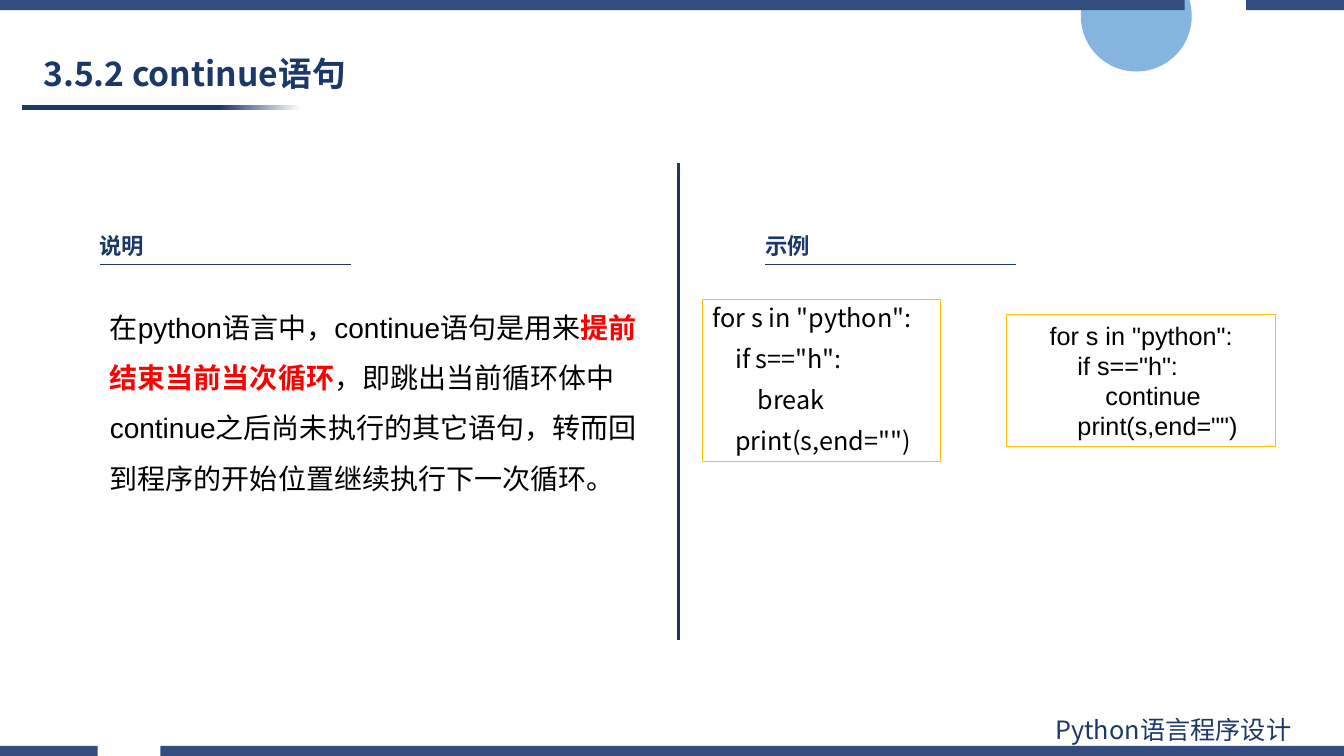
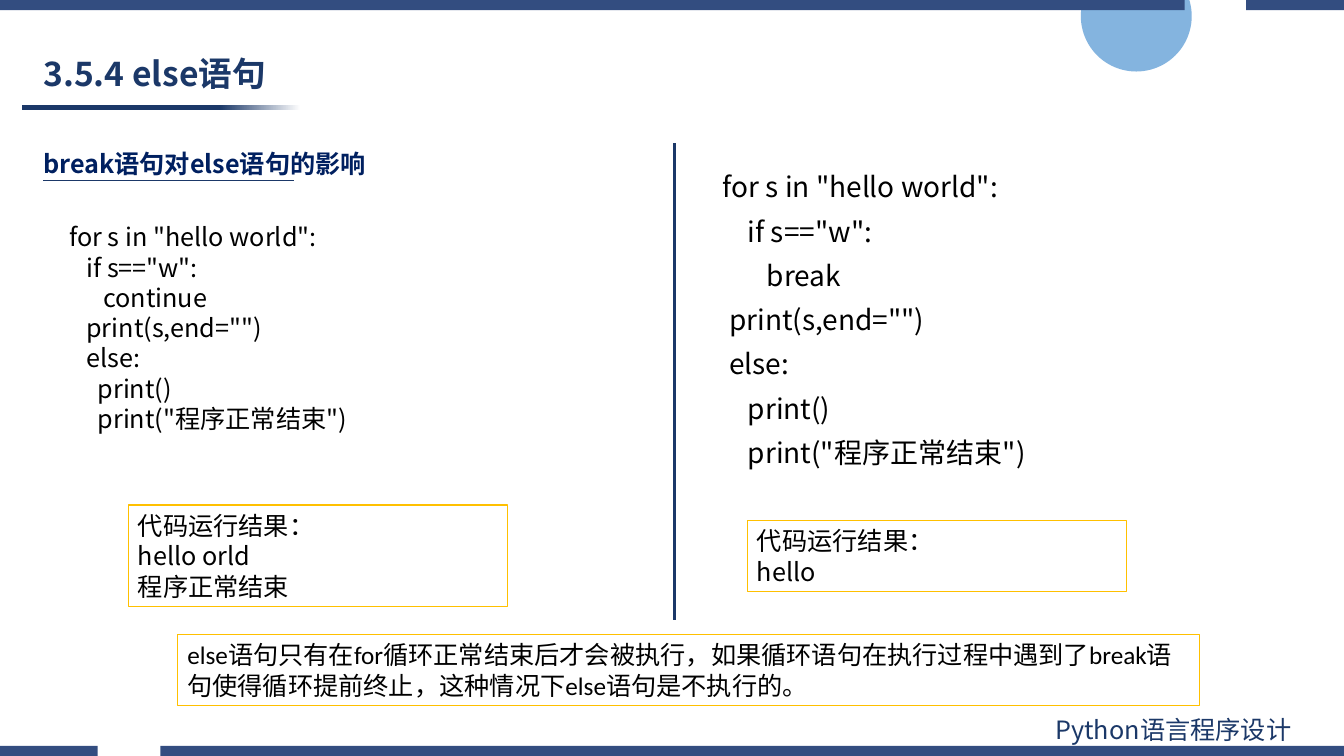
from lxml.etree import SubElement as Sub
from pptx import Presentation
from pptx.dml.color import RGBColor as RGB
from pptx.enum.shapes import MSO_CONNECTOR as LINE, MSO_SHAPE as SHAPE
from pptx.enum.text import MSO_ANCHOR as ANCHOR, PP_ALIGN as ALIGN
from pptx.oxml.ns import qn
from pptx.util import Inches, Pt

NAVY = RGB(0x1B, 0x38, 0x68)
BAND = RGB(0x33, 0x4D, 0x80)
SKY = RGB(0x5B, 0x9B, 0xD5)
GOLD = RGB(0xFF, 0xC0, 0x00)
DEEP = RGB(0x00, 0x20, 0x60)
RED = RGB(0xFF, 0x00, 0x00)
BLACK = RGB(0x00, 0x00, 0x00)
WHITE = RGB(0xFF, 0xFF, 0xFF)

NOTO, ARIAL, CALI = "Noto Sans CJK SC", "Arial", "Calibri"
WIDE, HIGH = 13.33, 7.5
LEAD = 1.2  # line height per point of text size


def inch(*nums):
    return [Inches(n) for n in nums]


# Text
def add_run(para, text, size, font=NOTO, color=BLACK, bold=False):
    run = para.add_run()
    run.text = text
    run.font.size, run.font.bold = Pt(size), bold
    run.font.name, run.font.color.rgb = font, color
    Sub(run.font._element, qn("a:ea")).set("typeface", NOTO)


def fill_text(frame, lines, size, ratio=1, gap=0, align=ALIGN.LEFT):
    """Each line is a list of (text, style) runs."""
    frame.word_wrap = True
    for i, runs in enumerate(lines):
        para = frame.add_paragraph() if i else frame.paragraphs[0]
        para.alignment = align
        para.line_spacing = Pt(round(size * LEAD * ratio, 1))
        para.space_before = Pt(gap if i else 0)
        for text, style in runs:
            add_run(para, text, size, **style)


def plain(text, **style):
    return [[(line, style)] for line in text.split("\n")]


def add_text(slide, box, lines, size, **form):
    frame = slide.shapes.add_textbox(*inch(*box)).text_frame
    fill_text(frame, lines, size, **form)


# Shapes
def add_line(slide, start, end, width):
    line = slide.shapes.add_connector(LINE.STRAIGHT, *inch(*start, *end))
    line.line.color.rgb, line.line.width = NAVY, Pt(width)
    Sub(line._element.spPr, qn("a:effectLst"))


def add_plain(slide, kind, box):
    shape = slide.shapes.add_shape(kind, *inch(*box))
    shape.shadow.inherit = False
    shape.line.fill.background()
    return shape


def add_frame(slide, box, lines, size=18, pad=0.1, **form):
    shape = add_plain(slide, SHAPE.RECTANGLE, box)
    shape.fill.background()
    shape.line.color.rgb, shape.line.width = GOLD, Pt(0.75)
    shape.text_frame.margin_left = Inches(pad)
    fill_text(shape.text_frame, lines, size, **form)


def add_band(slide, top, left, right):
    """Full-width strip with a gap from left to right."""
    low = top + 0.1
    build = slide.shapes.build_freeform(*inch(0, top), scale=1.0)
    for i, (x1, x2) in enumerate([(0, left), (right, WIDE)]):
        if i:
            build.move_to(*inch(x1, top))
        corners = [(x2, top), (x2, low), (x1, low)]
        build.add_line_segments([inch(*c) for c in corners], close=True)
    band = build.convert_to_shape()
    band.shadow.inherit = False
    band.fill.solid()
    band.fill.fore_color.rgb = BAND
    band.line.fill.background()


# Parts every slide shares
def add_base(deck, title):
    slide = deck.slides.add_slide(deck.slide_layouts[5])
    disc = add_plain(slide, SHAPE.OVAL, (10.72, -0.39, 1.1, 1.1))
    disc.fill.solid()
    disc.fill.fore_color.rgb = SKY
    tint = disc._element.spPr.find(qn("a:solidFill"))[0]
    Sub(tint, qn("a:alpha")).set("val", "75000")

    rule = add_plain(slide, SHAPE.RECTANGLE, (0.22, 1.04, 2.76, 0.05))
    rule.fill.gradient()
    rule.fill.gradient_angle = 0
    stops = [(0.71, NAVY), (1, WHITE)]
    for stop, (place, color) in zip(rule.fill.gradient_stops, stops):
        stop.position, stop.color.rgb = place, color

    add_band(slide, HIGH - 0.1, 0.97, 1.59)
    add_band(slide, 0, 11.75, 12.36)
    add_text(slide, (10.37, 7.04, 2.94, 0.4),
             plain("Python语言程序设计", color=NAVY), 18)

    head = slide.shapes.title
    head.left, head.top, head.width, head.height = inch(0.33, 0.44, 3.57, 0.56)
    head.text_frame.vertical_anchor = ANCHOR.MIDDLE
    fill_text(head.text_frame, plain(title, color=NAVY, bold=True), 24)
    return slide


def add_head(slide, left, top, text, size, drop, color=NAVY, shift=0.1):
    """Bold heading with a thin rule under it."""
    add_text(slide, (left, top, 5.09, 0.4),
             plain(text, color=color, bold=True), size)
    x, y = left + shift, top + drop
    add_line(slide, (x, y), (x + 2.49, y), 0.5)


def add_split(slide, x, top):
    add_line(slide, (x, top), (x, top + 4.73), 2)


# Slide types
def skip_slide(deck):
    slide = add_base(deck, "3.5.2 continue语句")
    add_split(slide, 6.73, 1.62)
    add_head(slide, 0.89, 2.25, "说明", 16, 0.37)
    add_head(slide, 7.49, 2.25, "示例", 16, 0.37)
    text = {"font": ARIAL}
    note = [
        ("在python语言中，continue语句是用来", text),
        ("提前结束当前当次循环", {"font": ARIAL, "color": RED, "bold": True}),
        ("，即跳出当前循环体中continue之后尚未执行的其它语句，"
         "转而回到程序的开始位置继续执行下一次循环。", text),
    ]
    add_text(slide, (0.99, 2.86, 5.51, 2.12), [note], 20, ratio=1.5)

    code = 'for s in "python":\n    if s=="h":\n        {}\n    print(s,end="")'
    add_frame(slide, (6.97, 2.97, 2.36, 1.61), plain(code.format("break")),
              ratio=0.9, gap=10)
    add_frame(slide, (9.98, 3.12, 2.67, 1.31),
              plain(code.format("continue"), font=ARIAL),
              pad=0.43, align=ALIGN.JUSTIFY)


def else_slide(deck):
    slide = add_base(deck, "3.5.4 else语句")
    add_split(slide, 6.69, 1.42)
    add_head(slide, 0.33, 1.42, "break语句对else语句的影响", 18, 0.37, DEEP)

    left = ('for s in "hello world":\n   if s=="w":\n      continue\n'
            '   print(s,end="")\n   else:\n     print()\n'
            '     print("程序正常结束")')
    right = ('for s in "hello world":\n    if s=="w":\n       break\n'
             ' print(s,end="")\n else:\n    print()\n'
             '    print("程序正常结束")')
    add_text(slide, (0.59, 2.15, 5.09, 2.22), plain(left), 18)
    add_text(slide, (7.07, 1.67, 5.51, 3.06), plain(right), 20,
             ratio=0.9, gap=10)

    label = plain("代码运行结果：", font=CALI)
    add_frame(slide, (1.27, 5.01, 3.76, 1.01),
              label + plain("hello orld\n程序正常结束"))
    add_frame(slide, (7.41, 5.16, 3.76, 0.71), label + plain("hello"))
    add_frame(slide, (1.76, 6.29, 10.14, 0.71), plain(
        "else语句只有在for循环正常结束后才会被执行，如果循环语句在执行过程中"
        "遇到了break语句使得循环提前终止，这种情况下else语句是不执行的。",
        font=CALI))


def main():
    deck = Presentation()
    deck.slide_width, deck.slide_height = inch(WIDE, HIGH)
    skip_slide(deck)
    else_slide(deck)
    deck.save("out.pptx")


if __name__ == "__main__":
    main()
